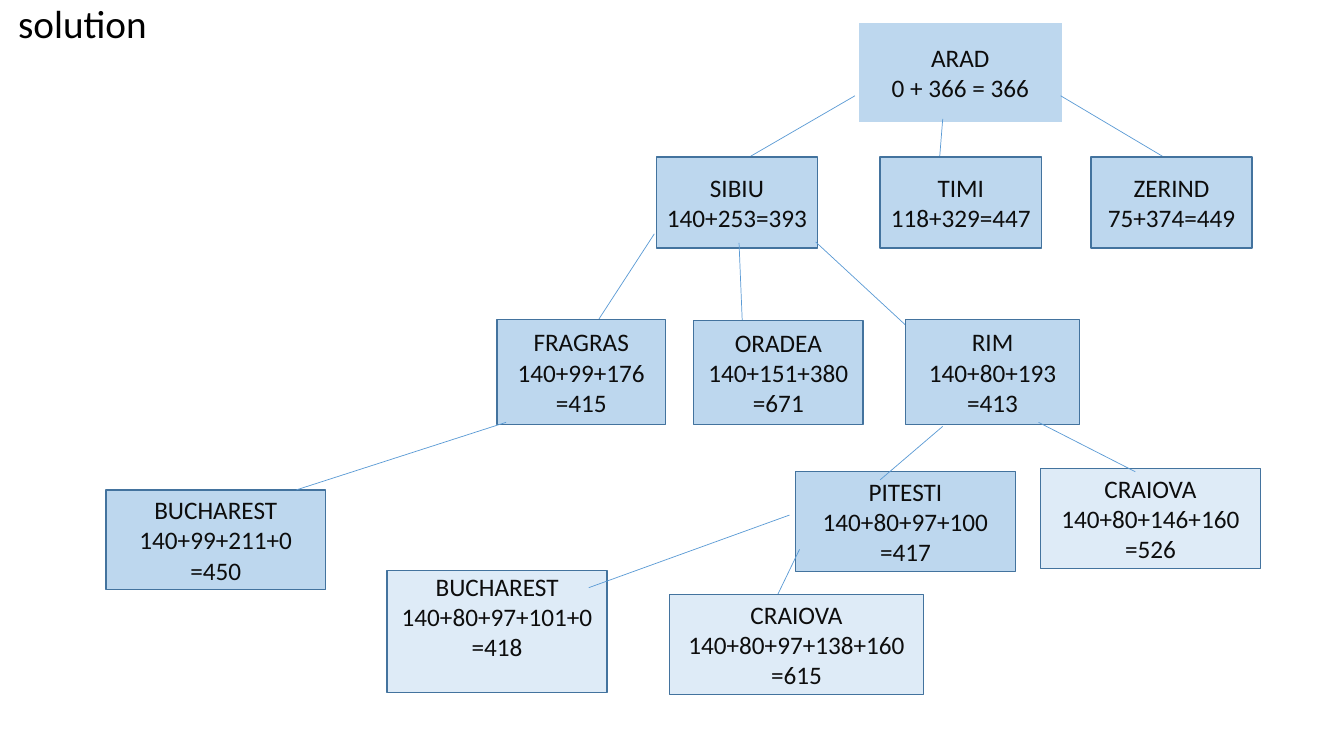
from dataclasses import dataclass

from lxml import etree
from pptx import Presentation
from pptx.dml.color import RGBColor
from pptx.enum import shapes, text
from pptx.oxml.ns import qn
from pptx.util import Inches, Pt


@dataclass(frozen=True)
class Theme:
    font: str = "Calibri"
    title_size: int = 28
    node_size: int = 18
    title_ink: str = "000000"
    node_ink: str = "0D0D0D"
    expanded: str = "BDD7EE"
    frontier: str = "DEEBF7"
    border: str = "43739E"
    root_border: str = "FFFFFF"
    edge: str = "5B9BD5"
    border_width: float = 1
    edge_width: float = 0.5


T = Theme()
TITLE = "solution"
ROW_2 = (1.56, 1.6, 0.9)  # top, width, height shared by the root's children
LEAF = (2.18, 0.99)       # width, height shared by most leaves
BLANK_LINE = 0.35         # bottom inset that lifts the text by one line

# Nodes: city, cost lines, (left, top, width, height), fill, border, bottom inset
ROOT = [("ARAD", ["0 + 366 = 366"], (8.51, 0.22, 2.03, 1), T.expanded, T.root_border, 0.05)]
CHILDREN = [
    (city, [cost], (left, *ROW_2), T.expanded, T.border, 0.05)
    for city, cost, left in [
        ("SIBIU", "140+253=393", 6.51),
        ("ZERIND", "75+374=449", 10.82),
        ("TIMI", "118+329=447", 8.73),
    ]
]
DESCENDANTS = [
    (city, costs, box, fill, T.border, inset)
    for city, costs, box, fill, inset in [
        ("FRAGRAS", ["140+99+176", "=415"], (4.93, 3.17, 1.67, 1.04), T.expanded, 0.05),
        ("ORADEA", ["140+151+380", "=671"], (6.88, 3.18, 1.68, 1.03), T.expanded, 0.05),
        ("RIM", ["140+80+193", "=413"], (8.98, 3.17, 1.73, 1.04), T.expanded, 0.05),
        ("BUCHAREST", ["140+80+97+101+0", "=418"], (3.84, 5.66, 2.18, 1.21),
         T.frontier, BLANK_LINE),
        ("BUCHAREST", ["140+99+211+0", "=450"], (1.05, 4.86, *LEAF), T.expanded, 0.05),
        ("PITESTI", ["140+80+97+100", "=417"], (7.89, 4.68, *LEAF), T.expanded, 0.05),
        ("CRAIOVA", ["140+80+146+160", "=526"], (10.32, 4.65, *LEAF), T.frontier, 0.05),
    ]
]
LAST_LEAF = [("CRAIOVA", ["140+80+97+138+160", "=615"], (6.64, 5.9, 2.52, 0.99),
              T.frontier, T.border, 0.05)]

# Edges: x and y of the start, x and y of the end
ROOT_EDGES = [(8.48, 0.95, 7.1, 1.75), (10.52, 0.95, 11.95, 1.8), (9.35, 1.18, 9.32, 1.56)]
SIBIU_EDGES = [(6.49, 2.32, 5.84, 3.32), (7.33, 2.41, 7.37, 3.38), (8.09, 2.4, 9.16, 3.39)]
LOWER_EDGES = [
    (7.83, 5.11, 5.84, 5.83),
    (9.35, 4.23, 8.73, 4.76),
    (11.26, 4.68, 10.3, 4.19),
    (5.02, 4.19, 2.94, 4.86),
    (7.93, 5.45, 7.65, 6.03),
]

# Back to front: each group's nodes, then the edges that lie over them
LAYERS = [
    (ROOT, ROOT_EDGES),
    (CHILDREN, SIBIU_EDGES),
    (DESCENDANTS, LOWER_EDGES),
    (LAST_LEAF, []),
]


def color(value):
    return RGBColor.from_string(value)


def format_text(tf, size, ink, align):
    for p in tf.paragraphs:
        p.alignment = align
        for r in p.runs:
            r.font.name = T.font
            r.font.size = Pt(size)
            r.font.color.rgb = color(ink)


def add_title(s):
    sp = s.shapes.title
    sp.left, sp.top, sp.width, sp.height = map(Inches, (0.08, 0, 12.42, 7.5))
    tf = sp.text_frame
    tf.text = TITLE
    tf.auto_size = text.MSO_AUTO_SIZE.NONE
    tf.vertical_anchor = text.MSO_ANCHOR.TOP
    tf.paragraphs[0].line_spacing = 0.9
    format_text(tf, T.title_size, T.title_ink, text.PP_ALIGN.LEFT)


def add_node(s, city, costs, box, fill, border, inset):
    sp = s.shapes.add_shape(shapes.MSO_SHAPE.RECTANGLE, *map(Inches, box))
    sp.shadow.inherit = False
    sp.fill.solid()
    sp.fill.fore_color.rgb = color(fill)
    sp.line.color.rgb = color(border)
    sp.line.width = Pt(T.border_width)
    tf = sp.text_frame
    tf.text = "\n".join([city, *costs])
    tf.word_wrap = True
    tf.vertical_anchor = text.MSO_ANCHOR.MIDDLE
    tf.margin_bottom = Inches(inset)
    format_text(tf, T.node_size, T.node_ink, text.PP_ALIGN.CENTER)


def add_edge(s, ends):
    line = s.shapes.add_connector(shapes.MSO_CONNECTOR.STRAIGHT, *map(Inches, ends))
    line.line.color.rgb = color(T.edge)
    line.line.width = Pt(T.edge_width)
    etree.SubElement(line._element.spPr, qn("a:effectLst"))


def main():
    prs = Presentation()
    prs.slide_width, prs.slide_height = Inches(13.33), Inches(7.5)
    s = prs.slides.add_slide(prs.slide_layouts[5])

    # Heading
    add_title(s)

    # Search tree
    for nodes, edges in LAYERS:
        for node in nodes:
            add_node(s, *node)
        for ends in edges:
            add_edge(s, ends)

    prs.save("out.pptx")


if __name__ == "__main__":
    main()
